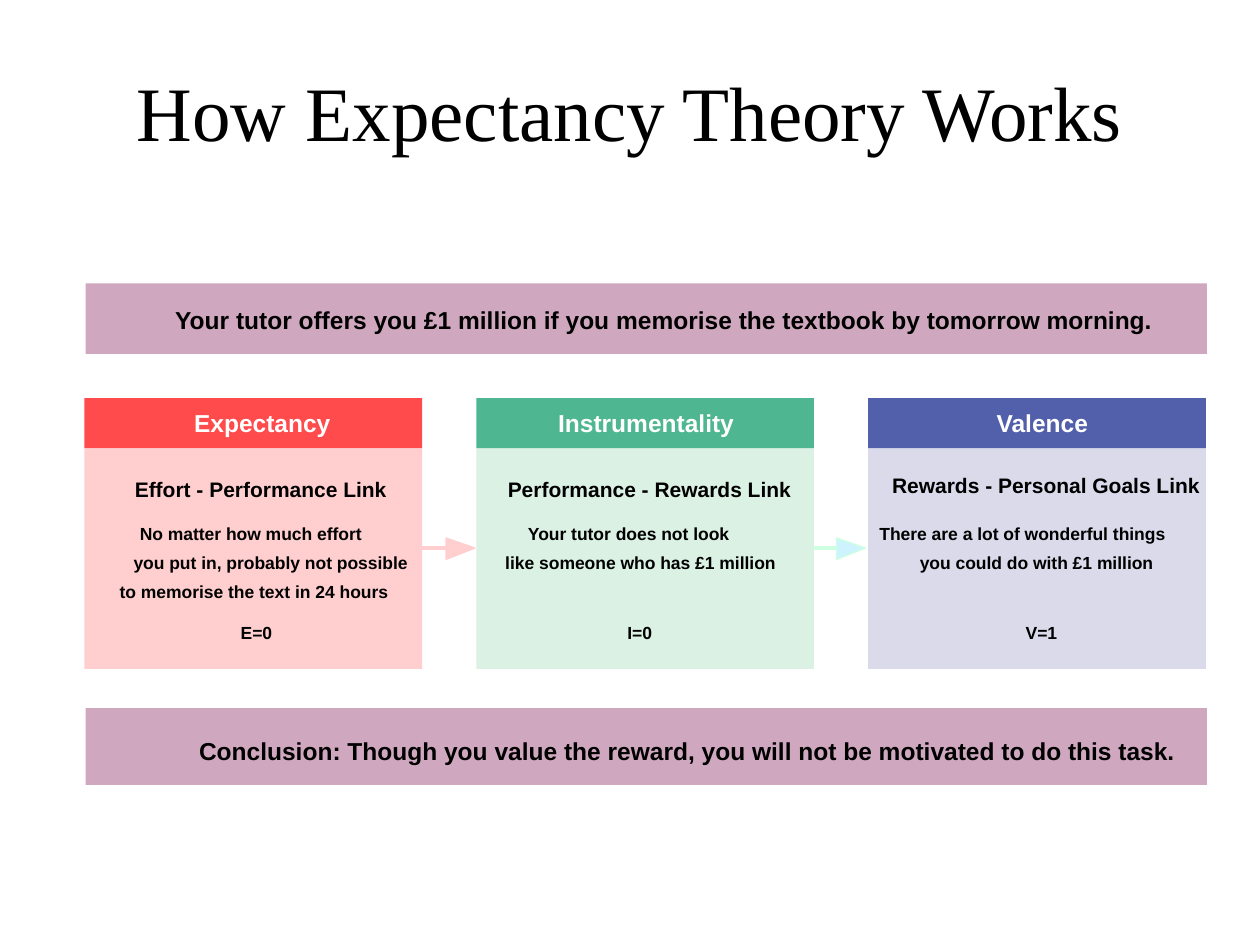
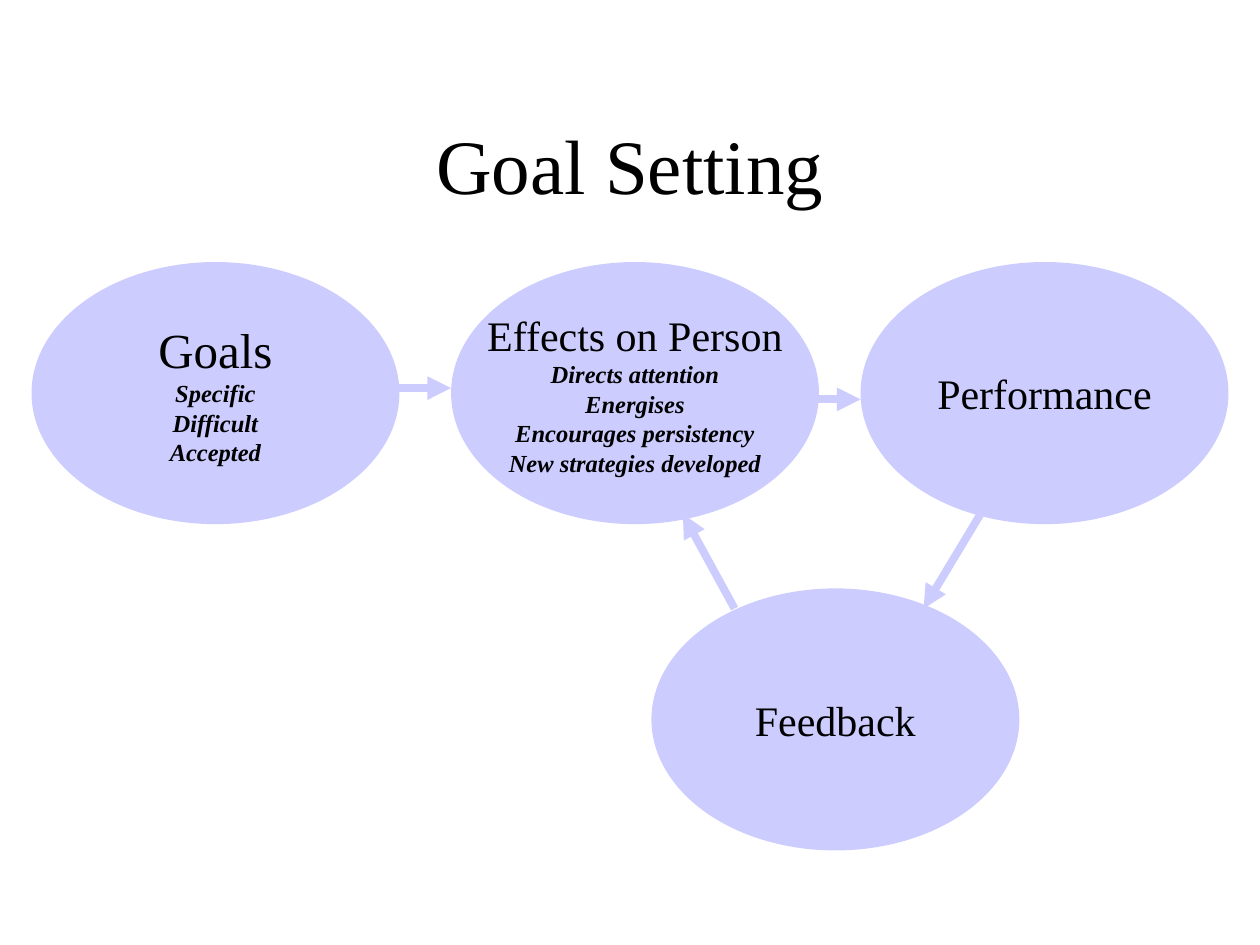
from lxml.etree import SubElement
from pptx import Presentation
from pptx.dml.color import RGBColor
from pptx.enum.shapes import MSO_CONNECTOR, MSO_SHAPE
from pptx.enum.text import MSO_ANCHOR, PP_ALIGN
from pptx.oxml.ns import qn
from pptx.util import Inches, Pt

SERIF, SANS = "Times New Roman", "Arial"
BLACK, WHITE = "000000", "FFFFFF"
MAUVE, LAVENDER = "CFA8BF", "CCCCFF"
PINK, MINT, SKY = "FFCFCF", "CDFFE1", "CDF3FF"


def write(frame, text, size, font=SERIF, color=BLACK, bold=False, italic=False,
          align=PP_ALIGN.CENTER):
    """Add one paragraph to the frame, filling the first one if it is empty."""
    para = frame.paragraphs[0] if not frame.text else frame.add_paragraph()
    para.alignment = align
    span = para.add_run()
    span.text = text
    span.font.name, span.font.size = font, Pt(size)
    span.font.bold, span.font.italic = bold, italic
    span.font.color.rgb = RGBColor.from_string(color)


def add_line(page, start, end, color, width, arrow=False):
    line = page.shapes.add_connector(
        MSO_CONNECTOR.STRAIGHT, *map(Inches, start + end))
    line.line.color.rgb = RGBColor.from_string(color)
    line.line.width = Pt(width)
    properties = line._element.spPr
    if arrow:
        SubElement(properties.find(qn("a:ln")), qn("a:tailEnd"), type="triangle")
    SubElement(properties, qn("a:effectLst"))


deck = Presentation()
deck.slide_width, deck.slide_height = Inches(10), Inches(7.5)
blank = deck.slide_layouts[6]
theory, goal_setting = [deck.slides.add_slide(blank) for _ in range(2)]

for page, title, top in [
    (theory, "How Expectancy Theory Works", 0.25),
    (goal_setting, "Goal Setting", 0.67),
]:
    box = page.shapes.add_textbox(
        Inches(0.75), Inches(top), Inches(8.5), Inches(1.25))
    box.text_frame.word_wrap = True
    box.text_frame.vertical_anchor = MSO_ANCHOR.MIDDLE
    write(box.text_frame, title, 44)

# Every filled shape is listed here with its fill and outline colour
filled = []

# Expectancy theory: arrows between the panels
ARROW_Y = 4.35
for start, end, head_left, color, head_color in [
    (6.35, 6.68, 6.64, MINT, SKY),
    (3.31, 3.58, 3.54, PINK, PINK),
]:
    add_line(theory, (start, ARROW_Y), (end, ARROW_Y), color, 2.5)
    outline = theory.shapes.build_freeform(
        Inches(head_left), Inches(ARROW_Y - 0.08))
    outline.add_line_segments([
        (Inches(head_left + 0.23), Inches(ARROW_Y)),
        (Inches(head_left), Inches(ARROW_Y + 0.09)),
    ])
    filled.append((outline.convert_to_shape(), head_color, color))

# Expectancy theory: panels and bands
PANEL_LEFT, PANEL_STEP, PANEL_WIDTH = 0.67, 3.11, 2.68
blocks = [
    (0.68, 2.25, 8.9, 0.56, MAUVE),
    (0.68, 5.62, 8.9, 0.61, MAUVE),
]
for column, (header_color, body_color) in enumerate([
    ("FF4B4B", PINK), ("4EB691", "DBF1E4"), ("525FAA", "DADAEB"),
]):
    left = PANEL_LEFT + column * PANEL_STEP
    blocks.append((left, 3.16, PANEL_WIDTH, 0.4, header_color))
    blocks.append((left, 3.56, PANEL_WIDTH, 1.75, body_color))
for *place, color in blocks:
    block = theory.shapes.add_shape(MSO_SHAPE.RECTANGLE, *map(Inches, place))
    filled.append((block, color, None))

# Expectancy theory: labels as left, top, text width, size, colour, text
HEADER, LINK, SCORE = 3.24, 3.78, 4.94
LINES = [4.15 + 0.23 * row for row in range(3)]
SPARE_WIDTH = 0.1  # keeps every label on one line
for left, top, width, size, color, text in [
    (1.39, 2.42, 7.78, 14, BLACK, "Your tutor offers you £1 million if you "
     "memorise the textbook by tomorrow morning."),
    (1.54, HEADER, 1.08, 14, WHITE, "Expectancy"),
    (1.07, LINK, 2, 12, BLACK, "Effort - Performance Link"),
    (1.11, LINES[0], 1.8, 10, BLACK, "No matter how much effort"),
    (1.06, LINES[1], 2.18, 10, BLACK, "you put in, probably not possible"),
    (0.95, LINES[2], 2.13, 10, BLACK, "to memorise the text in 24 hours"),
    (1.91, SCORE, 0.25, 10, BLACK, "E=0"),
    (4.43, HEADER, 1.4, 14, WHITE, "Instrumentality"),
    (4.03, LINK, 2.25, 12, BLACK, "Performance - Rewards Link"),
    (4.19, LINES[0], 1.61, 10, BLACK, "Your tutor does not look"),
    (4.01, LINES[1], 2.15, 10, BLACK, "like someone who has £1 million"),
    (4.98, SCORE, 0.2, 10, BLACK, "I=0"),
    (7.91, HEADER, 0.74, 14, WHITE, "Valence"),
    (7.08, LINK - 0.03, 2.45, 12, BLACK, "Rewards - Personal Goals Link"),
    (6.98, LINES[0], 2.27, 10, BLACK, "There are a lot of wonderful things"),
    (7.3, LINES[1], 1.87, 10, BLACK, "you could do with £1 million"),
    (8.14, SCORE, 0.25, 10, BLACK, "V=1"),
    (1.58, 5.84, 7.76, 14, BLACK, "Conclusion: Though you value the reward, "
     "you will not be motivated to do this task."),
]:
    box = theory.shapes.add_textbox(
        Inches(left), Inches(top), Inches(width + SPARE_WIDTH), Pt(size * 1.2))
    frame = box.text_frame
    frame.margin_left = frame.margin_right = 0
    frame.margin_top = frame.margin_bottom = 0
    frame.word_wrap = True
    write(frame, text, size, font=SANS, color=color, bold=True,
          align=PP_ALIGN.LEFT)

# Goal setting: ellipses and the loop between them
for left, top, heading, size, details in [
    (0.25, 2.08, "Goals", 28, ["Specific", "Difficult", "Accepted"]),
    (3.58, 2.08, "Effects on Person", 24,
     ["Directs attention", "Energises", "Encourages persistency",
      "New strategies developed"]),
    (5.17, 4.67, "Feedback", 24, []),
    (6.83, 2.08, "Performance", 24, []),
]:
    ellipse = goal_setting.shapes.add_shape(
        MSO_SHAPE.OVAL, Inches(left), Inches(top), Inches(2.92), Inches(2.08))
    filled.append((ellipse, LAVENDER, None))
    frame = ellipse.text_frame
    frame.word_wrap = False
    frame.vertical_anchor = MSO_ANCHOR.MIDDLE
    write(frame, heading, size)
    for detail in details:
        write(frame, detail, 14, bold=True, italic=True)

for start, end in [
    ((3.08, 3.08), (3.58, 3.08)),
    ((6.42, 3.17), (6.83, 3.17)),
    ((7.83, 4), (7.33, 4.83)),
    ((5.83, 4.83), (5.42, 4.08)),
]:
    add_line(goal_setting, start, end, LAVENDER, 4.5, arrow=True)

for shape, color, outline_color in filled:
    shape.shadow.inherit = False
    shape.fill.solid()
    shape.fill.fore_color.rgb = RGBColor.from_string(color)
    if outline_color:
        shape.line.color.rgb = RGBColor.from_string(outline_color)
        shape.line.width = Pt(0.75)
    else:
        shape.line.fill.background()

deck.save("out.pptx")
